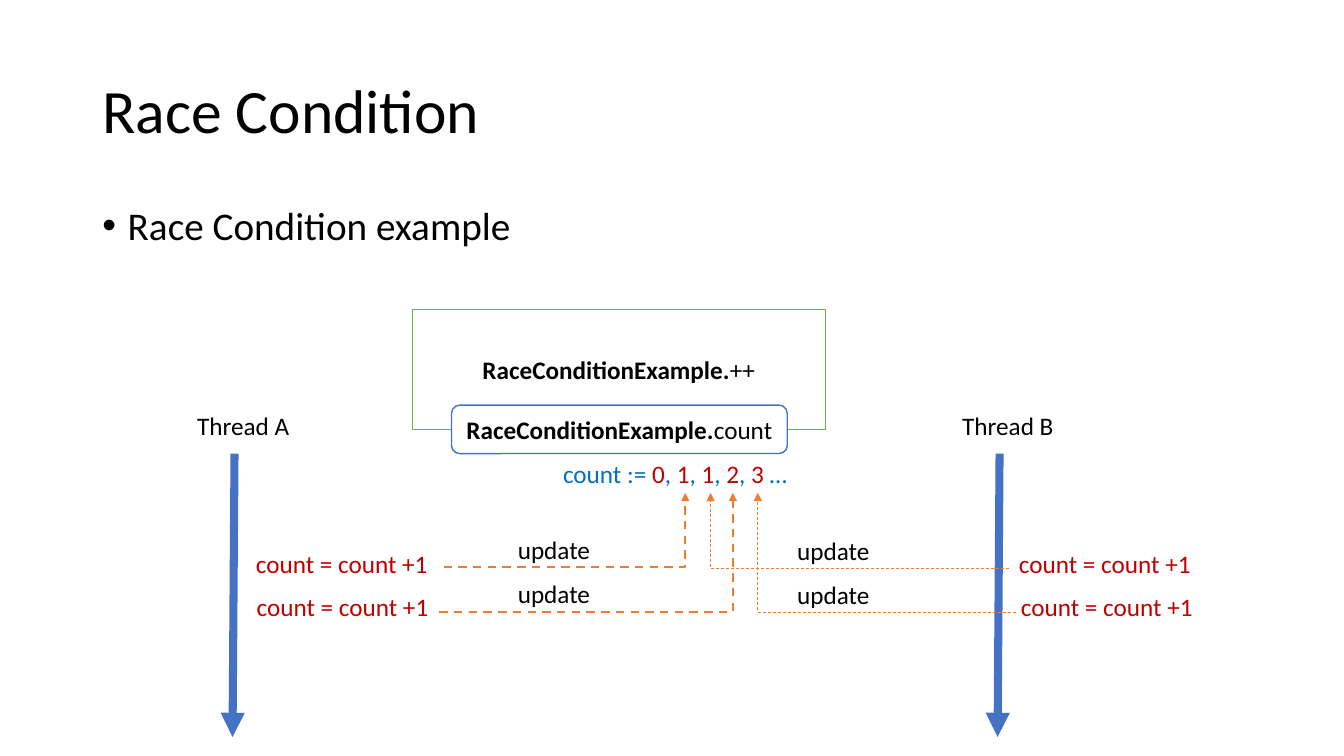
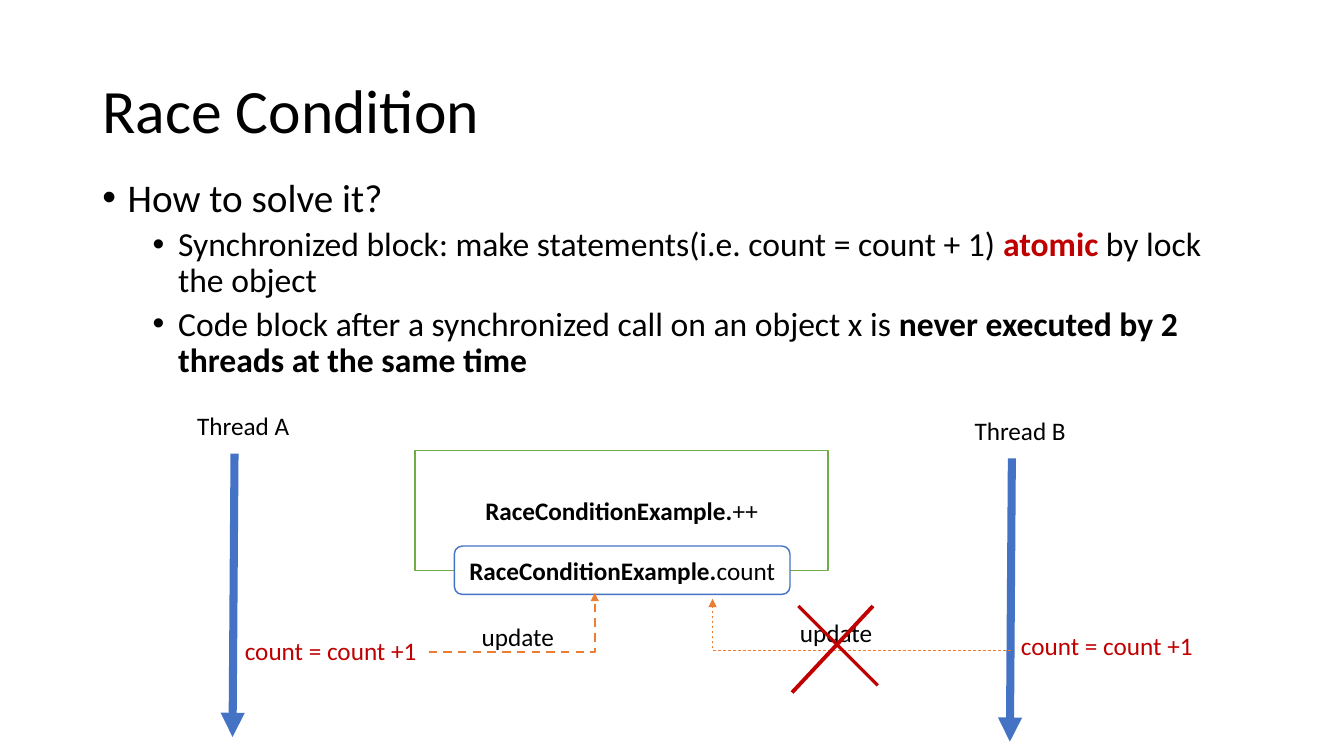
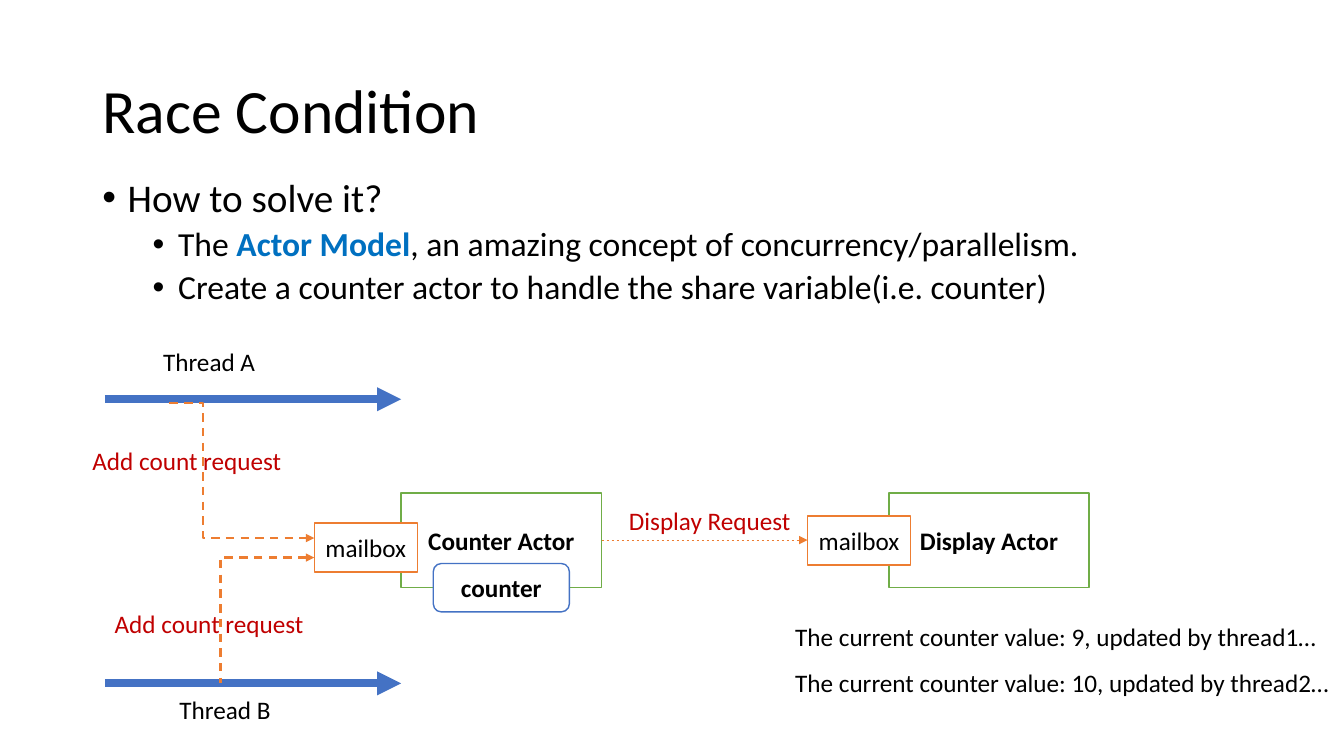
from lxml.etree import SubElement
from pptx import Presentation
from pptx.dml.color import RGBColor
from pptx.enum.dml import MSO_LINE
from pptx.enum.shapes import MSO_CONNECTOR as LINK, MSO_SHAPE as SHAPE
from pptx.enum.text import MSO_ANCHOR as ANCHOR, PP_ALIGN as ALIGN
from pptx.oxml.ns import qn
from pptx.util import Cm, Pt

BLACK = RGBColor(0x00, 0x00, 0x00)
WHITE = RGBColor(0xFF, 0xFF, 0xFF)
RED = RGBColor(0xC0, 0x00, 0x00)
SKY = RGBColor(0x00, 0x70, 0xC0)
BLUE = RGBColor(0x44, 0x72, 0xC4)
GREEN = RGBColor(0x70, 0xAD, 0x47)
ORANGE = RGBColor(0xED, 0x7D, 0x31)

FONT = "Calibri"
LABEL_HEIGHT = 1.02
STEP = "count = count +1"
THICK, THIN = 1.5, 0.5


# Shared text and drawing helpers; all lengths are in centimetres
def write(para, pieces, size=18, color=BLACK, bold=False):
    """Fill a paragraph with pieces: plain strings or (text, format) pairs."""
    for piece in [pieces] if isinstance(pieces, str) else pieces:
        text, style = (piece, {}) if isinstance(piece, str) else piece
        span = para.add_run()
        span.text = text
        span.font.name = FONT
        span.font.size = Pt(size)
        span.font.color.rgb = style.get("color", color)
        span.font.bold = style.get("bold", bold)


def text_frame(page, left, top, width, height, wrap=True):
    box = page.shapes.add_textbox(Cm(left), Cm(top), Cm(width), Cm(height))
    box.text_frame.word_wrap = wrap
    return box.text_frame


def label(page, left, top, width, pieces, wrap=True, **style):
    frame = text_frame(page, left, top, width, LABEL_HEIGHT, wrap)
    write(frame.paragraphs[0], pieces, **style)


def panel(page, left, top, width, height, pieces, outline,
          kind=SHAPE.RECTANGLE, **style):
    box = page.shapes.add_shape(kind, Cm(left), Cm(top), Cm(width), Cm(height))
    box.shadow.inherit = False
    box.fill.solid()
    box.fill.fore_color.rgb = WHITE
    box.line.color.rgb = outline
    box.line.width = Pt(1)
    frame = box.text_frame
    frame.vertical_anchor = ANCHOR.MIDDLE
    frame.paragraphs[0].alignment = ALIGN.CENTER
    write(frame.paragraphs[0], pieces, **style)


def connect(page, start, end, color, width, dashed=False, arrow="tailEnd",
            bend=None, turn=None):
    """Draw a line; bend names an elbow preset and turn places its middle."""
    kind = LINK.ELBOW if bend else LINK.STRAIGHT
    link = page.shapes.add_connector(kind, *(Cm(v) for v in (*start, *end)))
    link.line.color.rgb = color
    link.line.width = Pt(width)
    if dashed:
        link.line.dash_style = MSO_LINE.DASH
    properties = link.element.spPr
    if arrow:
        SubElement(properties.find(qn("a:ln")), qn("a:" + arrow), type="triangle")
    SubElement(properties, qn("a:effectLst"))
    geometry = properties.find(qn("a:prstGeom"))
    if bend:
        geometry.set("prst", bend)
    if turn is not None:
        SubElement(geometry.find(qn("a:avLst")), qn("a:gd"), name="adj1",
                   fmla=f"val {round(turn * 100000)}")


# Title and bullets
def bullet(para, pieces, level):
    para.level = level
    para.line_spacing = 0.9
    para.space_before = Pt(5 if level else 10)
    properties = para._p.get_or_add_pPr()
    properties.set("marL", str(Cm(1.91 if level else 0.64)))
    properties.set("indent", str(-Cm(0.64)))
    SubElement(properties, qn("a:buFont"), typeface="Arial")
    SubElement(properties, qn("a:buChar"), char="•")
    write(para, pieces, size=24 if level else 28)


def start_page(deck, heading, details=(), body_top=4.37):
    page = deck.slides.add_slide(deck.slide_layouts[6])
    title = text_frame(page, 2.33, 1.02, 29.21, 3.68)
    title.vertical_anchor = ANCHOR.MIDDLE
    title.paragraphs[0].line_spacing = 0.9
    write(title.paragraphs[0], "Race Condition", size=44)

    body = text_frame(page, 2.33, body_top, 29.21, 12.09)
    bullet(body.paragraphs[0], heading, 0)
    for pieces in details:
        bullet(body.add_paragraph(), pieces, 1)
    return page


# Parts of the diagrams
def falling_thread(page, left, top, name):
    connect(page, (left + 1.19, top + 1.22), (left + 1.14, top + 8.36), BLUE, 5.75)
    label(page, left, top, 4.24, name)


def running_thread(page, left, top, name, name_left, name_top):
    connect(page, (left, top), (left + 7.47, top), BLUE, 5.75)
    label(page, left + name_left, top + name_top, 4.24, name)


def shared_object(page, left, top):
    owner = ("RaceConditionExample.", {"bold": True})
    panel(page, left, top, 10.41, 3.02, [owner, "++"], GREEN)
    panel(page, left + 0.99, top + 2.41, 8.46, 1.22, [owner, "count"], BLUE,
          kind=SHAPE.ROUNDED_RECTANGLE)


def update(page, start, tip, name_at, step_at, width):
    connect(page, start, tip, ORANGE, width, dashed=True, bend="bentConnector2")
    label(page, *name_at, 2.95, "update")
    label(page, *step_at, 4.9, STEP, wrap=False, color=RED)


def actor(page, left, top, name, mailbox_left, mailbox_top):
    panel(page, left, top, 5.05, 2.39, name, GREEN, bold=True)
    panel(page, left + mailbox_left, top + mailbox_top, 2.6, 1.24, "mailbox", ORANGE)


# Slides
def example_page(deck):
    page = start_page(deck, "Race Condition example", body_top=5.08)
    shared_object(page, 10.39, 7.8)
    falling_thread(page, 4.72, 10.21, "Thread A")
    falling_thread(page, 24, 10.21, "Thread B")

    values = ["count := "]
    for value in "0112":
        values += [(value, {"color": RED}), ", "]
    values += [("3 ", {"color": RED}), "…"]
    label(page, 13.94, 11.43, 7.32, values, color=SKY)

    tip_top = 12.42
    update(page, (11.18, 14.3), (17.27, tip_top), (12.8, 13.34), (6.2, 13.69), THICK)
    update(page, (25.43, 14.32), (17.91, tip_top), (19.84, 13.36), (25.43, 13.69), THIN)
    update(page, (11.07, 15.42), (18.47, tip_top), (12.8, 14.45), (6.22, 14.78), THICK)
    update(page, (25.6, 15.42), (19.1, tip_top), (19.84, 14.48), (25.48, 14.78), THIN)


def lock_page(deck):
    page = start_page(deck, "How to solve it?", [
        ["Synchronized block: make statements(i.e. count = count + 1) ",
         ("atomic ", {"color": RED, "bold": True}), "by lock the object"],
        ["Code block after a synchronized call on an object x is ",
         ("never executed by 2 threads at the same time", {"bold": True})],
    ])
    falling_thread(page, 4.72, 10.21, "Thread A")
    falling_thread(page, 24.31, 10.33, "Thread B")
    shared_object(page, 10.46, 11.35)
    update(page, (10.8, 16.43), (14.99, 14.94), (11.89, 15.54), (5.92, 15.88), THICK)
    update(page, (25.48, 16.38), (17.96, 15.09), (19.91, 15.44), (25.48, 15.77), THIN)

    # Cross over the blocked update
    connect(page, (19.96, 17.45), (22, 15.27), RED, 2.75, arrow=None)
    connect(page, (20.12, 15.27), (22.12, 17.27), RED, 2.25, arrow=None)


def actor_page(deck):
    page = start_page(deck, "How to solve it?", [
        ["The ", ("Actor Model", {"color": SKY, "bold": True}),
         ", an amazing concept of concurrency/parallelism."],
        "Create a counter actor to handle the share variable(i.e. counter)",
    ])
    actor(page, 10.11, 12.42, "Counter Actor", -2.19, 0.76)
    panel(page, 10.92, 14.2, 3.43, 1.22, "counter", BLUE,
          kind=SHAPE.ROUNDED_RECTANGLE, bold=True)
    actor(page, 22.4, 12.42, "Display Actor", -2.05, 0.58)
    running_thread(page, 2.64, 10.06, "Thread A", 1.22, -1.45)
    running_thread(page, 2.64, 17.22, "Thread B", 1.63, 0.15)

    # Requests
    connect(page, (4.27, 10.16), (7.92, 13.56), ORANGE, THICK, dashed=True,
            bend="bentConnector3", turn=0.235)
    connect(page, (7.92, 14.05), (5.56, 17.22), ORANGE, THICK, dashed=True,
            arrow="headEnd", bend="bentConnector2")
    connect(page, (15.16, 13.61), (20.35, 13.61), ORANGE, THIN, dashed=True)
    for left, top, width, text in ((2.08, 11.1, 5.33, "Add count request"),
                                   (2.64, 15.21, 5.33, "Add count request"),
                                   (15.6, 12.6, 4.62, "Display Request")):
        label(page, left, top, width, text, wrap=False, color=RED)

    # Displayed messages
    for row, (value, thread) in enumerate(((9, 1), (10, 2))):
        label(page, 19.79, 15.54 + 1.14 * row, 15.32,
              f"The current counter value: {value}, updated by thread{thread}…")


deck = Presentation()
deck.slide_width, deck.slide_height = Cm(33.87), Cm(19.05)
example_page(deck)
lock_page(deck)
actor_page(deck)
deck.save("out.pptx")
